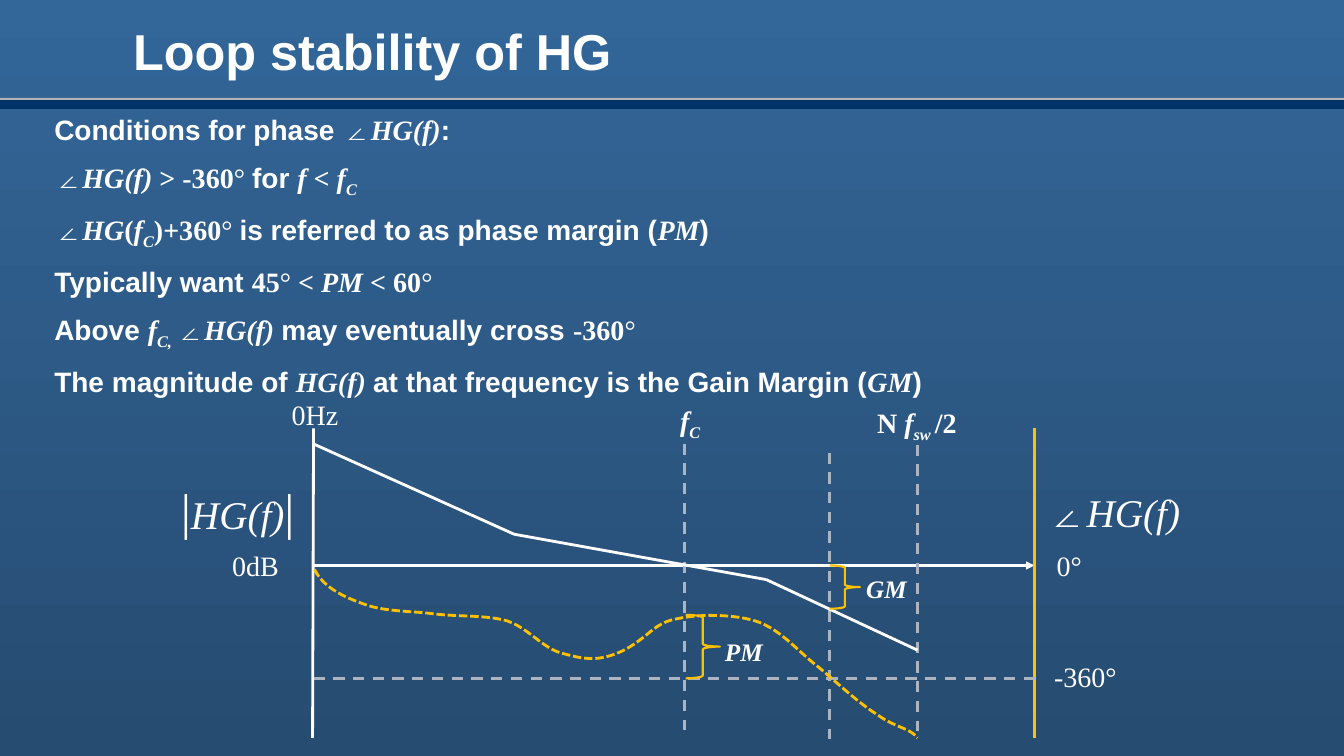
import pptx
import pptx.util
import pptx.dml.color
import pptx.enum.dml
import pptx.enum.shapes
import pptx.enum.text
import pptx.oxml.ns
import pptx.oxml.xmlchemy
from pptx.util import Inches

WHITE, GOLD, GREY = "FFFFFF", "FFC000", "ACB3C1"
SHAPES = pptx.enum.shapes.MSO_SHAPE
DASHES = pptx.enum.dml.MSO_LINE
ALIGN = pptx.enum.text.PP_ALIGN
SERIF = "Times New Roman"

STYLES = {
    "sans": {"name": "Arial", "bold": True},
    "bold": {"name": SERIF, "bold": True},
    "math": {"name": SERIF, "bold": True, "italic": True},
    "sub": {"name": SERIF, "bold": True, "italic": True},
    "plain": {"name": SERIF},
    "slant": {"name": SERIF, "italic": True},
    "bar": {"name": SERIF, "size": pptx.util.Pt(36)},
}


def color(hex_value):
    return pptx.dml.color.RGBColor.from_string(hex_value)


def write(para, size, runs):
    """Fill a paragraph with (text, style name) runs."""
    for text, style in runs:
        span = para.add_run()
        span.text = text
        span.font.size = pptx.util.Pt(size)
        span.font.color.rgb = color(WHITE)
        for attribute, value in STYLES[style].items():
            setattr(span.font, attribute, value)
        if style == "sub":
            span._r.get_or_add_rPr().set("baseline", "-25000")


deck = pptx.Presentation()
deck.slide_width, deck.slide_height = Inches(13.33), Inches(7.5)
slide = deck.slides.add_slide(deck.slide_layouts[5])

backdrop = slide.background.fill
backdrop.gradient()
backdrop.gradient_angle = 270
for stop, shade in zip(backdrop.gradient_stops, ("336699", "264C71")):
    stop.color.rgb = color(shade)

# Header
for top, height, shade in ((0.99, 0.09, "003366"), (0.97, 0.02, "B2B2B2")):
    band = slide.shapes.add_shape(SHAPES.RECTANGLE, 0, Inches(top), deck.slide_width, Inches(height))
    band.shadow.inherit = False
    band.fill.solid()
    band.fill.fore_color.rgb = color(shade)
    band.line.fill.background()

title = slide.shapes.title
title.left, title.top, title.width, title.height = Inches(1.22), 0, Inches(12.11), Inches(0.99)
title.text_frame.vertical_anchor = pptx.enum.text.MSO_ANCHOR.MIDDLE
title.text_frame.paragraphs[0].alignment = ALIGN.LEFT
write(title.text_frame.paragraphs[0], 36, [("Loop stability of HG", "sans")])

# Stability conditions
conditions = [
    [("Conditions for phase ", "sans"), ("∠", "bold"), ("HG(f)", "math"), (":", "sans")],
    [("∠", "bold"), ("HG(f) ", "math"), ("> -360", "bold"), ("° ", "plain"), ("for ", "sans"),
     ("f ", "math"), ("< ", "bold"), ("f", "math"), ("C", "sub")],
    [("∠", "bold"), ("HG", "math"), ("(", "bold"), ("f", "math"), ("C", "sub"), (")+360", "bold"),
     ("° ", "plain"), ("is referred to as phase margin (", "sans"), ("PM", "math"), (")", "sans")],
    [("Typically want ", "sans"), ("45", "bold"), ("° ", "plain"), ("< ", "bold"), ("PM ", "math"),
     ("< 60", "bold"), ("°", "plain")],
    [("Above ", "sans"), ("f", "math"), ("C, ", "sub"), ("∠", "bold"), ("HG(f) ", "math"),
     ("may eventually cross ", "sans"), ("-360", "bold"), ("°", "plain")],
    [("The magnitude of ", "sans"), ("HG(f) ", "math"),
     ("at that frequency is the Gain Margin (", "sans"), ("GM", "math"), (")", "sans")],
]
frame = slide.shapes.add_textbox(Inches(0.44), Inches(1.07), Inches(9.3), Inches(2.82)).text_frame
frame.word_wrap = True
for index, runs in enumerate(conditions):
    para = frame.add_paragraph() if index else frame.paragraphs[0]
    para.space_after = pptx.util.Pt(10)
    write(para, 20, runs)

# Axes, guides and magnitude curve
axis_left, axis_right, zero_level = 3.11, 10.26, 5.61
lines = [
    ((axis_left, 4.25), (3.1, 7.32), WHITE, None),
    ((axis_left, zero_level), (axis_right, zero_level), WHITE, "arrow"),
    ((axis_right, 4.25), (axis_right, 7.32), GOLD, None),
    ((axis_left, 6.73), (10.29, 6.73), GREY, "dash"),
]
for x, top, bottom in ((9.1, 4.41, 7.25), (6.79, 4.4, 7.24), (8.23, 4.49, 7.33)):
    lines.append(((x, top), (x, bottom), GREY, "dash"))
magnitude = [(3.1, 4.4), (5.1, 5.3), (7.6, 5.75), (9.1, 6.45)]
for start, end in zip(magnitude, magnitude[1:]):
    lines.append((start, end, WHITE, None))

for start, end, shade, kind in lines:
    line = slide.shapes.add_connector(
        pptx.enum.shapes.MSO_CONNECTOR.STRAIGHT, *map(Inches, start + end))
    line.line.color.rgb = color(shade)
    line.line.width = pptx.util.Pt(2)
    if kind == "dash":
        line.line.dash_style = DASHES.DASH
    properties = line._element.spPr
    if kind == "arrow":
        tail = pptx.oxml.xmlchemy.OxmlElement("a:tailEnd")
        tail.set("type", "triangle")
        properties.find(pptx.oxml.ns.qn("a:ln")).append(tail)
    properties.append(pptx.oxml.xmlchemy.OxmlElement("a:effectLst"))

# Phase curve: Bezier knots, each segment given as two controls and an end
phase_start = (3.12, 5.65)
phase_segments = [
    ((3.2, 5.82), (3.4, 5.92), (3.6, 5.99)),
    ((3.8, 6.07), (4.07, 6.06), (4.3, 6.09)),
    ((4.54, 6.12), (4.82, 6.1), (5.03, 6.16)),
    ((5.24, 6.23), (5.38, 6.43), (5.57, 6.48)),
    ((5.76, 6.53), (5.91, 6.58), (6.17, 6.46)),
    ((6.43, 6.33), (6.48, 6.18), (6.71, 6.14)),
    ((6.93, 6.09), (7.29, 6.09), (7.52, 6.17)),
    ((7.76, 6.26), (7.92, 6.47), (8.12, 6.62)),
    ((8.31, 6.78), (8.51, 6.97), (8.7, 7.09)),
    ((8.88, 7.22), (9.02, 7.22), (9.1, 7.32)),
]
steps = 12
points, knot = [], phase_start
for first, second, end in phase_segments:
    for step in range(1, steps + 1):
        t = step / steps
        weights = ((1 - t) ** 3, 3 * t * (1 - t) ** 2, 3 * t ** 2 * (1 - t), t ** 3)
        corners = (knot, first, second, end)
        points.append(tuple(sum(w * c[axis] for w, c in zip(weights, corners)) for axis in (0, 1)))
    knot = end
builder = slide.shapes.build_freeform(*map(Inches, phase_start))
builder.add_line_segments([tuple(map(Inches, point)) for point in points], close=False)
phase = builder.convert_to_shape()
phase.shadow.inherit = False
phase.fill.background()
phase.line.color.rgb = color(GOLD)
phase.line.width = pptx.util.Pt(2)
phase.line.dash_style = DASHES.SQUARE_DOT

# Margin braces
for place in ((6.8, 6.1, 0.34, 0.63), (8.23, zero_level, 0.3, 0.43)):
    brace = slide.shapes.add_shape(SHAPES.RIGHT_BRACE, *map(Inches, place))
    brace.shadow.inherit = False
    brace.fill.background()
    brace.line.color.rgb = color(GOLD)
    brace.line.width = pptx.util.Pt(1.5)

# Diagram labels: place, alignment, size, runs
labels = [
    ((8.6, 3.97, 1.09, 0.44), ALIGN.LEFT, 20,
     [("N", "bold"), (" f", "math"), ("sw ", "sub"), ("/2", "bold")]),
    ((6.5, 3.95, 0.69, 0.44), ALIGN.CENTER, 20, [("f", "math"), ("C", "sub")]),
    ((10.29, 4.8, 1.61, 0.57), ALIGN.LEFT, 28, [("∠", "plain"), ("HG(f)", "slant")]),
    ((1.61, 4.7, 1.41, 0.71), ALIGN.RIGHT, 28, [("|", "bar"), ("HG(f)", "slant"), ("|", "bar")]),
    ((10.32, 5.39, 0.57, 0.44), ALIGN.CENTER, 20, [("0°", "plain")]),
    ((2.11, 5.39, 0.85, 0.44), ALIGN.CENTER, 20, [("0dB", "plain")]),
    ((10.24, 6.49, 1.05, 0.44), ALIGN.CENTER, 20, [("-360°", "plain")]),
    ((2.72, 3.89, 0.81, 0.44), ALIGN.CENTER, 20, [("0Hz", "plain")]),
    ((7.19, 6.31, 0.46, 0.3), ALIGN.LEFT, 18, [("PM", "math")]),
    ((8.59, 5.69, 0.48, 0.3), ALIGN.LEFT, 18, [("GM", "math")]),
]
for place, alignment, size, runs in labels:
    frame = slide.shapes.add_textbox(*map(Inches, place)).text_frame
    frame.word_wrap = True
    if size == 18:
        for side in ("left", "top", "right", "bottom"):
            setattr(frame, f"margin_{side}", 0)
    frame.paragraphs[0].alignment = alignment
    write(frame.paragraphs[0], size, runs)

deck.save("out.pptx")
